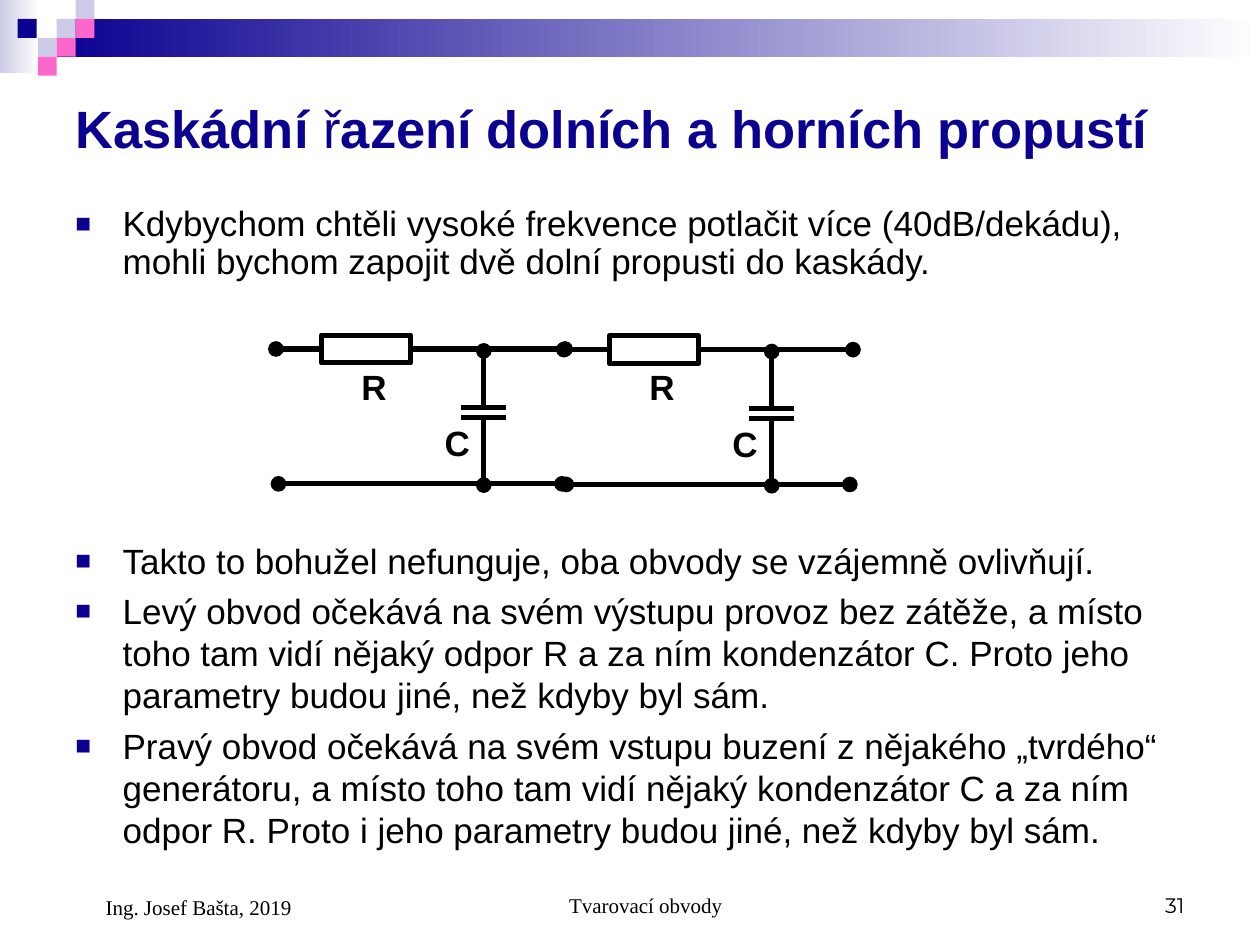
from lxml.etree import SubElement
from pptx import Presentation
from pptx.dml.color import RGBColor
from pptx.enum.shapes import MSO_CONNECTOR as CONN, MSO_SHAPE as SHAPE
from pptx.enum.text import MSO_ANCHOR as ANCHOR, PP_ALIGN as ALIGN
from pptx.oxml.ns import qn
from pptx.util import Inches, Pt

NAVY = RGBColor(0x0B, 0x01, 0x91)
LILAC = RGBColor(0xCC, 0xCC, 0xE6)
PINK = RGBColor(0xFF, 0x66, 0xCC)
WHITE = RGBColor(0xFF, 0xFF, 0xFF)
BLACK = RGBColor(0, 0, 0)

prs = Presentation()
prs.slide_width, prs.slide_height = Inches(10), Inches(7.5)
s = prs.slides.add_slide(prs.slide_layouts[6])
COL = prs.slide_width / 100
ROW = prs.slide_height / 75


def add_text(x, y, w, h, paragraphs, size=20, font="Arial", color=BLACK, align=ALIGN.LEFT,
             anchor=ANCHOR.TOP, bullet=False, spacing=None, indent=0):
    tb = s.shapes.add_textbox(round(x * COL), round(y * ROW), round(w * COL), round(h * ROW))
    tf = tb.text_frame
    tf.word_wrap = True
    tf.vertical_anchor = anchor
    for i, runs in enumerate(paragraphs):
        p = tf.paragraphs[0] if i == 0 else tf.add_paragraph()
        p.alignment = align
        if spacing:
            p.line_spacing = spacing
        if i:
            p.space_before = Pt(5)
        pPr = p._p.get_or_add_pPr()
        if indent:
            pPr.set("marL", str(round(indent * COL)))
        if bullet:
            pPr.set("indent", str(-round(indent * COL)))
            SubElement(SubElement(pPr, qn("a:buClr")), qn("a:srgbClr")).set("val", str(NAVY))
            SubElement(pPr, qn("a:buSzPct")).set("val", "75000")
            SubElement(pPr, qn("a:buFont")).set("typeface", "Arial")
            SubElement(pPr, qn("a:buChar")).set("char", "■")
        for text, bold in runs:
            r = p.add_run()
            r.text = text
            r.font.size, r.font.name, r.font.bold = Pt(size), font, bold
            r.font.color.rgb = color


def add_wire(x1, y1, x2, y2, head=False, tail=False):
    wire = s.shapes.add_connector(CONN.STRAIGHT, round(x1 * COL), round(y1 * ROW),
                                  round(x2 * COL), round(y2 * ROW))
    wire.line.color.rgb, wire.line.width = BLACK, Pt(3)
    for tag, dotted in (("a:headEnd", head), ("a:tailEnd", tail)):
        if dotted:
            SubElement(wire.line._get_or_add_ln(), qn(tag)).set("type", "oval")
    SubElement(wire._element.spPr, qn("a:effectLst"))
    return wire


TILE = 1.5
decorations = [(0, 0, 3.1, 5.8, LILAC, True), (4.5, 1.5, 95.5, 3, NAVY, True)]
decorations += [(x, y, TILE, TILE, color, False) for x, y, color in (
    (4.5, 1.5, LILAC), (6, 0, LILAC), (6, 1.5, PINK), (3, 3, LILAC),
    (1.4, 1.5, NAVY), (4.5, 3, PINK), (3, 4.5, PINK))]
for x, y, w, h, color, fades in decorations:
    sp = s.shapes.add_shape(SHAPE.RECTANGLE, round(x * COL), round(y * ROW),
                            round(w * COL), round(h * ROW))
    sp.shadow.inherit = False
    sp.line.fill.background()
    if fades:
        sp.fill.gradient()
        sp.fill.gradient_angle = 180
        for stop, stop_color in zip(sp.fill.gradient_stops, (WHITE, color)):
            stop.color.rgb = stop_color
    else:
        sp.fill.solid()
        sp.fill.fore_color.rgb = color

add_text(5, 5, 90, 10.3,
         [[("Kaskádní ", True), ("ř", False), ("azení dolních a horních propustí", True)]],
         size=30, color=NAVY, anchor=ANCHOR.MIDDLE)
add_text(5, 15.9, 90, 7.3,
         [[("Kdybychom chtěli vysoké frekvence potlačit více (40dB/dekádu), "
            "mohli bychom zapojit dvě dolní propusti do kaskády.", False)]],
         bullet=True, spacing=0.9, indent=3.75)

for x, y in ((21.9, 27.7), (44.75, 27.75)):
    resistor = s.shapes.add_shape(SHAPE.RECTANGLE, round((x + 3.6) * COL), round((y - 1.1) * ROW),
                                  round(7.1 * COL), round(2.2 * ROW))
    resistor.shadow.inherit = False
    resistor.fill.background()
    resistor.line.color.rgb, resistor.line.width = BLACK, Pt(3)
    add_wire(x + 3.6, y, x, y, tail=True).begin_connect(resistor, 1)
    add_wire(x + 22.95, y, x + 10.7, y, head=True).end_connect(resistor, 3)
    add_wire(x + 22.7, y + 10.7, x + 0.2, y + 10.7, head=True, tail=True)
    middle = x + 16.5
    add_wire(middle, y + 10.8, middle, y + 5.5, head=True)
    add_wire(middle, y + 4.5, middle, y + 0.15, tail=True)
    for plate in (4.65, 5.45):
        add_wire(middle + 1.8, y + plate, middle - 1.8, y + plate)
    for label, dx, dy in (("R", 5.8, 0.8), ("C", 12.4, 5.3)):
        add_text(x + dx, y + dy, 3.4, 4.4, [[(label, True)]])

add_text(5, 42.3, 90, 26.8, [[(text, False)] for text in (
    "Takto to bohužel nefunguje, oba obvody se vzájemně ovlivňují.",
    "Levý obvod očekává na svém výstupu provoz bez zátěže, a místo toho tam vidí nějaký odpor R "
    "a za ním kondenzátor C. Proto jeho parametry budou jiné, než kdyby byl sám.",
    "Pravý obvod očekává na svém vstupu buzení z nějakého „tvrdého“ generátoru, a místo toho tam "
    "vidí nějaký kondenzátor C a za ním odpor R. Proto i jeho parametry budou jiné, "
    "než kdyby byl sám.")], bullet=True, indent=3.75)

for x, w, h, text, font, align, indent in (
        (34.2, 31.7, 5, "Tvarovací obvody", "Times New Roman", ALIGN.CENTER, 2.4),
        (71.7, 23.3, 5, "31", "Montserrat", ALIGN.RIGHT, 0),
        (5, 23.3, 5.2, "Ing. Josef Bašta, 2019", "Times New Roman", ALIGN.LEFT, 2.4)):
    add_text(x, 68.3, w, h, [[(text, False)]], size=12, font=font, align=align,
             anchor=ANCHOR.BOTTOM, indent=indent)

prs.save("out.pptx")
